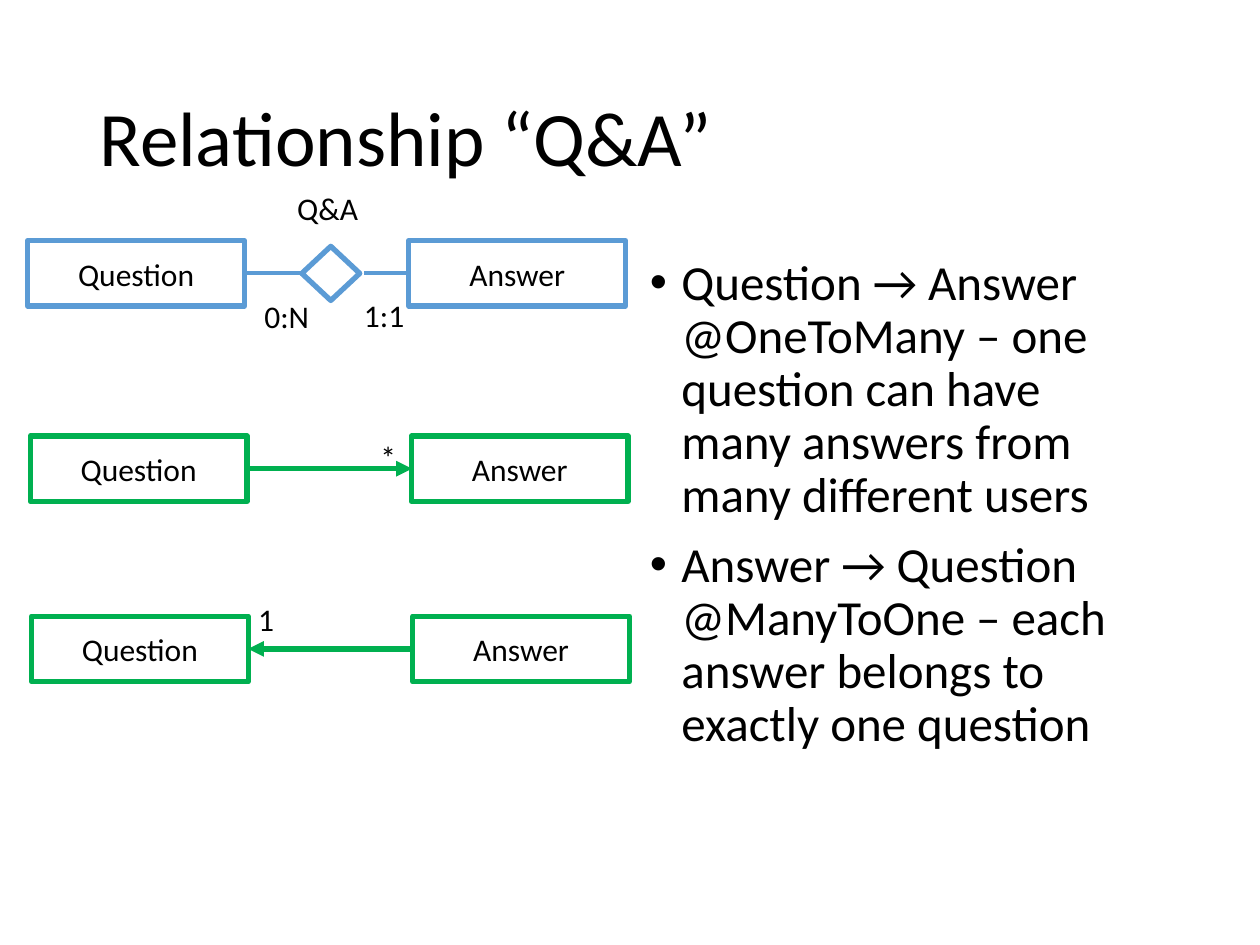
from dataclasses import dataclass

from lxml import etree
from pptx import Presentation
from pptx.dml.color import RGBColor
from pptx.enum.shapes import MSO_CONNECTOR, MSO_SHAPE
from pptx.enum.text import MSO_ANCHOR, MSO_AUTO_SIZE, PP_ALIGN
from pptx.oxml.ns import qn
from pptx.util import Inches, Pt


@dataclass(frozen=True)
class Theme:
    font: str = "Calibri"
    text: str = "000000"
    paper: str = "FFFFFF"
    entity: str = "5B9BD5"
    mapping: str = "00B050"
    title_size: float = 44
    body_size: float = 28
    label_size: float = 18
    outline: float = 3
    link: float = 2.25


class Diagram:
    COLUMNS, ROWS = 100, 75

    def __init__(self, theme):
        self.theme = theme
        self.deck = Presentation()
        self.deck.slide_width, self.deck.slide_height = Inches(10), Inches(7.5)
        self.slide = self.deck.slides.add_slide(self.deck.slide_layouts[5])
        self.shapes = self.slide.shapes

    def x(self, columns):
        return round(self.deck.slide_width * columns / self.COLUMNS)

    def y(self, rows):
        return round(self.deck.slide_height * rows / self.ROWS)

    def box(self, left, top, width, height):
        return self.x(left), self.y(top), self.x(width), self.y(height)

    def style_text(self, paragraph, text, size, align=PP_ALIGN.LEFT):
        paragraph.text = text
        paragraph.alignment = align
        for run in paragraph.runs:
            run.font.name = self.theme.font
            run.font.size = Pt(size)
            run.font.color.rgb = RGBColor.from_string(self.theme.text)

    def title(self, text, *area):
        title = self.shapes.title
        title.left, title.top, title.width, title.height = self.box(*area)
        frame = title.text_frame
        frame.vertical_anchor = MSO_ANCHOR.MIDDLE
        self.style_text(frame.paragraphs[0], text, self.theme.title_size)
        frame.paragraphs[0].line_spacing = 0.9

    def bullets(self, items, *area):
        frame = self.shapes.add_textbox(*self.box(*area)).text_frame
        frame.word_wrap = True
        for index, item in enumerate(items):
            paragraph = frame.add_paragraph() if index else frame.paragraphs[0]
            self.style_text(paragraph, item, self.theme.body_size)
            paragraph.line_spacing = 0.9
            paragraph.space_before = Pt(10)
            properties = paragraph._p.get_or_add_pPr()
            properties.set("marL", str(Inches(0.25)))
            properties.set("indent", str(-Inches(0.25)))
            etree.SubElement(properties, qn("a:buFont"), typeface="Arial")
            etree.SubElement(properties, qn("a:buChar"), char="•")

    def label(self, text, *area):
        frame = self.shapes.add_textbox(*self.box(*area)).text_frame
        frame.word_wrap = False
        frame.auto_size = MSO_AUTO_SIZE.SHAPE_TO_FIT_TEXT
        self.style_text(frame.paragraphs[0], text, self.theme.label_size)

    def node(self, kind, color, area, text="", filled=True):
        node = self.shapes.add_shape(kind, *self.box(*area))
        node.shadow.inherit = False
        if filled:
            node.fill.solid()
            node.fill.fore_color.rgb = RGBColor.from_string(self.theme.paper)
        else:
            node.fill.background()
        node.line.color.rgb = RGBColor.from_string(color)
        node.line.width = Pt(self.theme.outline)
        if text:
            frame = node.text_frame
            frame.vertical_anchor = MSO_ANCHOR.MIDDLE
            self.style_text(frame.paragraphs[0], text, self.theme.label_size, PP_ALIGN.CENTER)
        return node

    def line(self, start, end, row, color, width, arrow=False):
        line = self.shapes.add_connector(
            MSO_CONNECTOR.STRAIGHT, self.x(start), self.y(row), self.x(end), self.y(row)
        )
        line.line.color.rgb = RGBColor.from_string(color)
        line.line.width = Pt(width)
        properties = line._element.spPr
        if arrow:
            etree.SubElement(properties.find(qn("a:ln")), qn("a:tailEnd"), type="triangle")
        etree.SubElement(properties, qn("a:effectLst"))


ENTITY_WIDTH, ENTITY_HEIGHT, ENTITY_STEP = 17.2, 5.2, 30.25
theme = Theme()
diagram = Diagram(theme)

diagram.title("Relationship “Q&A”", 6.9, 4, 86.2, 14.5)
diagram.bullets(
    [
        "Question → Answer\v@OneToMany – one question can have many answers from many different users",
        "Answer → Question @ManyToOne – each answer belongs to exactly one question",
    ],
    50.6, 20, 42.5, 53.9,
)

for left, top, color, filled in (
    (2.2, 19.1, theme.entity, True),
    (2.4, 34.6, theme.mapping, False),
    (2.5, 48.9, theme.mapping, False),
):
    for index, name in enumerate(("Question", "Answer")):
        area = (left + index * ENTITY_STEP, top, ENTITY_WIDTH, ENTITY_HEIGHT)
        diagram.node(MSO_SHAPE.RECTANGLE, color, area, name, filled)

diagram.node(MSO_SHAPE.DIAMOND, theme.entity, (24.1, 19.4, 4.3, 4.6)).rotation = 90

for start, end, row, color, width, arrow in (
    (32.5, 28.9, 21.7, theme.entity, theme.link, False),
    (24, 19.4, 21.7, theme.entity, theme.link, False),
    (19.6, 32.7, 37.2, theme.mapping, theme.outline, True),
    (32.7, 19.7, 51.5, theme.mapping, theme.outline, True),
):
    diagram.line(start, end, row, color, width, arrow)

for text, left, top, width in (
    ("Q&A", 22.6, 14.5, 6.9),
    ("0:N", 20, 23.1, 5.6),
    ("1:1", 27.9, 23, 5.3),
    ("*", 29.2, 34.3, 3.3),
    ("1", 19.5, 47.1, 3.3),
):
    diagram.label(text, left, top, width, 4)

diagram.deck.save("out.pptx")
